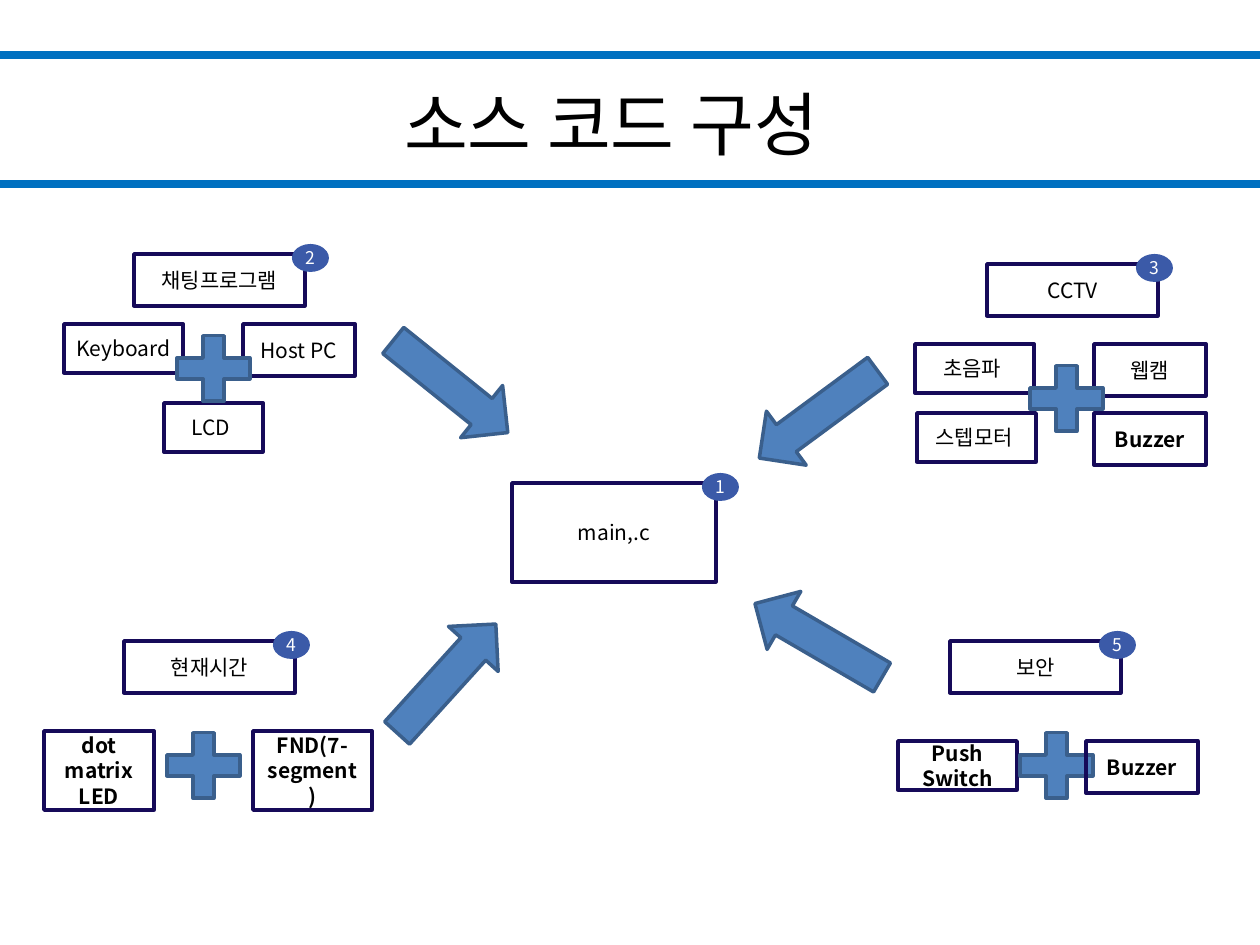
"""Build the source code structure slide."""
import pptx
import pptx.dml.color
import pptx.enum.shapes
import pptx.enum.text
import pptx.util

FONT = "Noto Sans CJK KR"
TITLE = "소스 코드 구성"
TITLE_AREA = (64, 0, 1134, 158)
BAND_AREA = (-54, 55, 1375, 129)

# number, label, left, top, width, height, badge overlap
MODULES = [
    ("1", "main,.c", 512, 483, 204, 99, 14),
    ("2", "채팅프로그램", 134, 254, 171, 52, 13),
    ("3", "CCTV", 987, 264, 171, 52, 22),
    ("4", "현재시간", 124, 641, 171, 52, 22),
    ("5", "보안", 950, 641, 171, 52, 22),
]
# label, left, top, width, height, bold
DEVICES = [
    ("Keyboard ", 64, 324, 119, 49, False),
    ("Host PC", 243, 324, 112, 52, False),
    ("LCD ", 164, 403, 99, 49, False),
    ("dot matrix LED", 44, 731, 110, 79, True),
    ("FND(7-segment)", 253, 731, 119, 79, True),
    ("초음파 ", 915, 344, 119, 49, False),
    ("웹캠", 1094, 344, 112, 52, False),
    ("스텝모터 ", 917, 413, 119, 49, False),
    ("Buzzer", 1094, 413, 112, 52, True),
    ("Push Switch", 898, 741, 119, 49, True),
]
FRONT_DEVICE = ("Buzzer", 1086, 741, 112, 52, True)
PLUSES = [(164, 324), (154, 721), (1017, 354), (1007, 721)]
PLUS_SIZE = (99, 89)
# left, top, rotation
ARROWS = [(377, 353, 38.8), (373, 645, 312.2), (745, 381, 143.6), (745, 607, 210.2)]
ARROW_SIZE = (147, 67)
BADGE_SIZE = (37, 28)
BADGE_RISE = 10

BOX_LINE = ("160A59", 2)
SYMBOL = {"fill": "4F81BD", "line": ("3A5F8C", 2)}
KIND = pptx.enum.shapes.MSO_SHAPE

deck = pptx.Presentation()
deck.slide_width = pptx.util.Inches(10)
deck.slide_height = pptx.util.Inches(7.5)
page = deck.slides.add_slide(deck.slide_layouts[6])


def px(length):
    return round(length * 914400 / 126)


def color(value):
    return pptx.dml.color.RGBColor.from_string(value)


def write(shape, text, size, ink="000000", bold=False, wrap=True, insets=(12, 6, 12, 6)):
    frame = shape.text_frame
    sides = ("margin_left", "margin_top", "margin_right", "margin_bottom")
    settings = dict(zip(sides, map(px, insets)))
    settings["word_wrap"] = wrap
    settings["vertical_anchor"] = pptx.enum.text.MSO_ANCHOR.MIDDLE
    for name, value in settings.items():
        setattr(frame, name, value)
    para = frame.paragraphs[0]
    para.alignment = pptx.enum.text.PP_ALIGN.CENTER
    span = para.add_run()
    span.text = text
    for name, value in {"name": FONT, "size": pptx.util.Pt(size), "bold": bold}.items():
        setattr(span.font, name, value)
    span.font.color.rgb = color(ink)


def draw(kind, area, fill=None, line=None, rotation=0):
    shape = page.shapes.add_shape(kind, *map(px, area))
    shape.shadow.inherit = False
    shape.rotation = rotation
    if fill:
        shape.fill.solid()
        shape.fill.fore_color.rgb = color(fill)
    else:
        shape.fill.background()
    if line:
        shape.line.color.rgb = color(line[0])
        shape.line.width = pptx.util.Pt(line[1])
    else:
        shape.line.fill.background()
    return shape


def draw_box(label, left, top, width, height, bold=False):
    box = draw(KIND.RECTANGLE, (left, top, width, height), line=BOX_LINE)
    write(box, label, 12, bold=bold)


title = page.shapes.add_textbox(*map(px, TITLE_AREA))
write(title, TITLE, 39.6, insets=(12, 88, 52, 0))
draw(KIND.RECTANGLE, BAND_AREA, line=("0070C0", 4.5))

for number, label, left, top, width, height, overlap in MODULES:
    draw_box(label, left, top, width, height)
    corner = (left + width - overlap, top - BADGE_RISE)
    badge = draw(KIND.OVAL, corner + BADGE_SIZE, fill="3B5AA8")
    write(badge, number, 10, "FFFFFF", wrap=False, insets=(8, 8, 8, 8))

for device in DEVICES:
    draw_box(*device)
for corner in PLUSES:
    draw(KIND.MATH_PLUS, corner + PLUS_SIZE, **SYMBOL)
for left, top, rotation in ARROWS:
    draw(KIND.RIGHT_ARROW, (left, top) + ARROW_SIZE, rotation=rotation, **SYMBOL)
draw_box(*FRONT_DEVICE)

deck.save("out.pptx")
